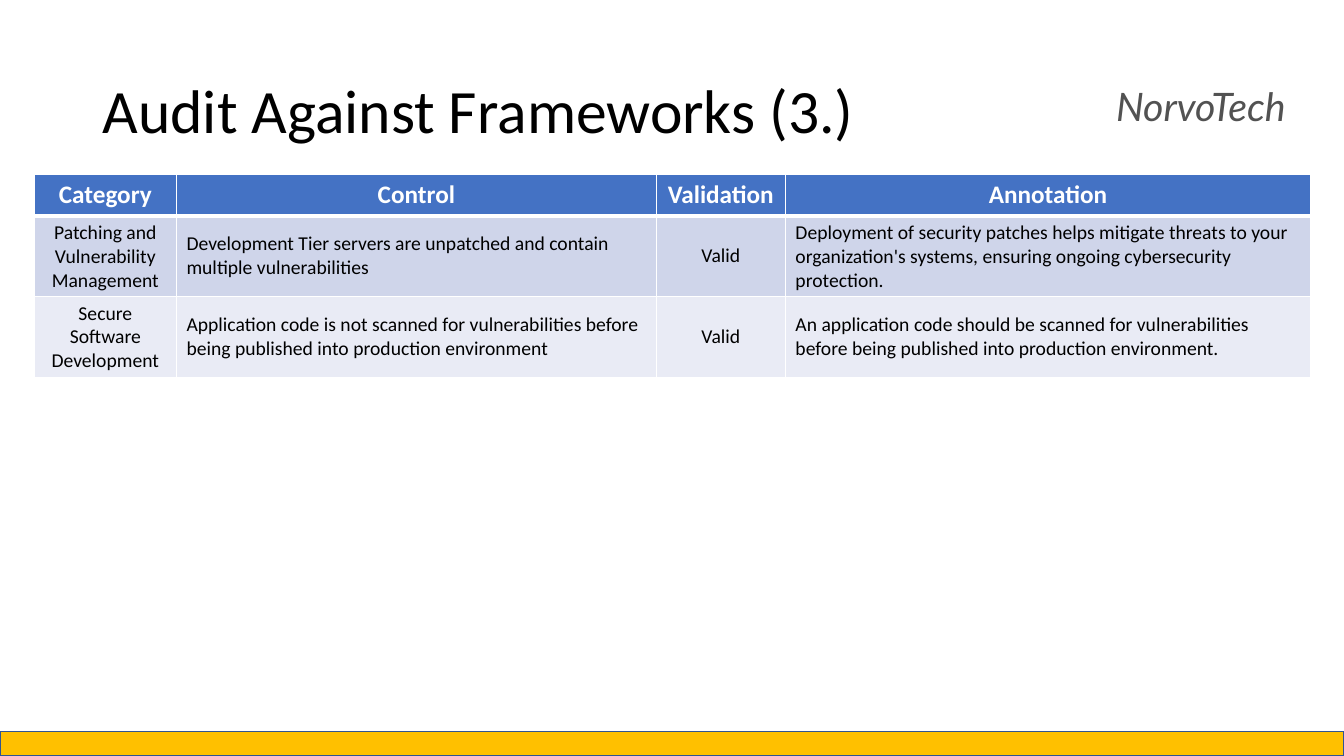
from lxml.etree import SubElement
from pptx import Presentation
from pptx.dml.color import RGBColor
from pptx.enum.shapes import MSO_SHAPE
from pptx.enum.text import MSO_ANCHOR, PP_ALIGN
from pptx.oxml.ns import qn
from pptx.util import Inches, Pt

WIDE, HIGH = 13.33, 7.5
WHITE = RGBColor(0xFF, 0xFF, 0xFF)
BLACK = RGBColor(0, 0, 0)
GREY = RGBColor(0x52, 0x52, 0x52)
GOLD = RGBColor(0xFF, 0xC0, 0x00)
NAVY = RGBColor(0x32, 0x54, 0x91)
BLUE = RGBColor(0x44, 0x72, 0xC4)
BANDS = [RGBColor(0xCF, 0xD5, 0xEA), RGBColor(0xE9, 0xEB, 0xF5)]

COLS = [1.41, 4.76, 1.28, 5.21]
ROWS = [0.41, 0.8, 0.8]
AUDIT = [
    ["Category", "Control", "Validation", "Annotation"],
    ["Patching and Vulnerability Management",
     "Development Tier servers are unpatched and contain multiple vulnerabilities",
     "Valid",
     "Deployment of security patches helps mitigate threats to your "
     "organization's systems, ensuring ongoing cybersecurity protection."],
    ["Secure Software Development",
     "Application code is not scanned for vulnerabilities before being "
     "published into production environment",
     "Valid",
     "An application code should be scanned for vulnerabilities before being "
     "published into production environment."],
]


def write(frame, text, size=14, color=BLACK, font="Calibri", bold=False,
          italic=False, align=PP_ALIGN.LEFT, space=1.0):
    para = frame.paragraphs[0]
    para.alignment, para.line_spacing = align, space
    run = para.add_run()
    run.text = text
    face = run.font
    face.name, face.size, face.bold, face.italic = font, Pt(size), bold, italic
    face.color.rgb = color


def label(slide, box, text, **form):
    frame = slide.shapes.add_textbox(*map(Inches, box)).text_frame
    frame.word_wrap = True
    frame.vertical_anchor = MSO_ANCHOR.MIDDLE
    write(frame, text, space=0.9, **form)


def edge(cell, side, width):
    line = SubElement(cell._tc.get_or_add_tcPr(), qn("a:ln" + side),
                      w=str(Pt(width)))
    fill = SubElement(line, qn("a:solidFill"))
    SubElement(fill, qn("a:srgbClr"), val=str(WHITE))


def header(slide, box):
    left, top, width, height = box
    label(slide, box, "Audit Against Frameworks (3.)", size=44)
    # Company name, at the right of the title
    label(slide, (left + 0.874 * width, top - 0.05, 0.24 * width, height),
          "NorvoTech", size=28, color=GREY, font="Lato", italic=True)


def grid(slide, box):
    table = slide.shapes.add_table(len(ROWS), len(COLS),
                                   *map(Inches, box)).table
    for col, share in zip(table.columns, COLS):
        col.width = Inches(box[2] * share / sum(COLS))
    for row, share in zip(table.rows, ROWS):
        row.height = Inches(box[3] * share / sum(ROWS))
    for r, texts in enumerate(AUDIT):
        head = r == 0
        for c, text in enumerate(texts):
            cell = table.cell(r, c)
            # Thick rule between the head and the body
            for side, width in zip("LRTB", (1, 1, 3 if r == 1 else 1,
                                            3 if head else 1)):
                edge(cell, side, width)
            cell.fill.solid()
            cell.fill.fore_color.rgb = BLUE if head else BANDS[(r - 1) % 2]
            cell.vertical_anchor = MSO_ANCHOR.MIDDLE
            mid = head or c % 2 == 0
            write(cell.text_frame, text, size=18 if head else 14, bold=head,
                  color=WHITE if head else BLACK,
                  align=PP_ALIGN.CENTER if mid else PP_ALIGN.LEFT)


def footer(slide, box):
    bar = slide.shapes.add_shape(MSO_SHAPE.RECTANGLE, *map(Inches, box))
    bar.shadow.inherit = False
    bar.fill.solid()
    bar.fill.fore_color.rgb = GOLD
    bar.line.color.rgb = NAVY
    bar.line.width = Pt(1)


deck = Presentation()
deck.slide_width, deck.slide_height = Inches(WIDE), Inches(HIGH)
page = deck.slides.add_slide(deck.slide_layouts[6])
header(page, (0.92, 0.4, 11.5, 1.45))
footer(page, (0, HIGH - 0.24, WIDE, 0.24))
grid(page, (0.34, 1.73, sum(COLS), sum(ROWS)))
deck.save("out.pptx")
